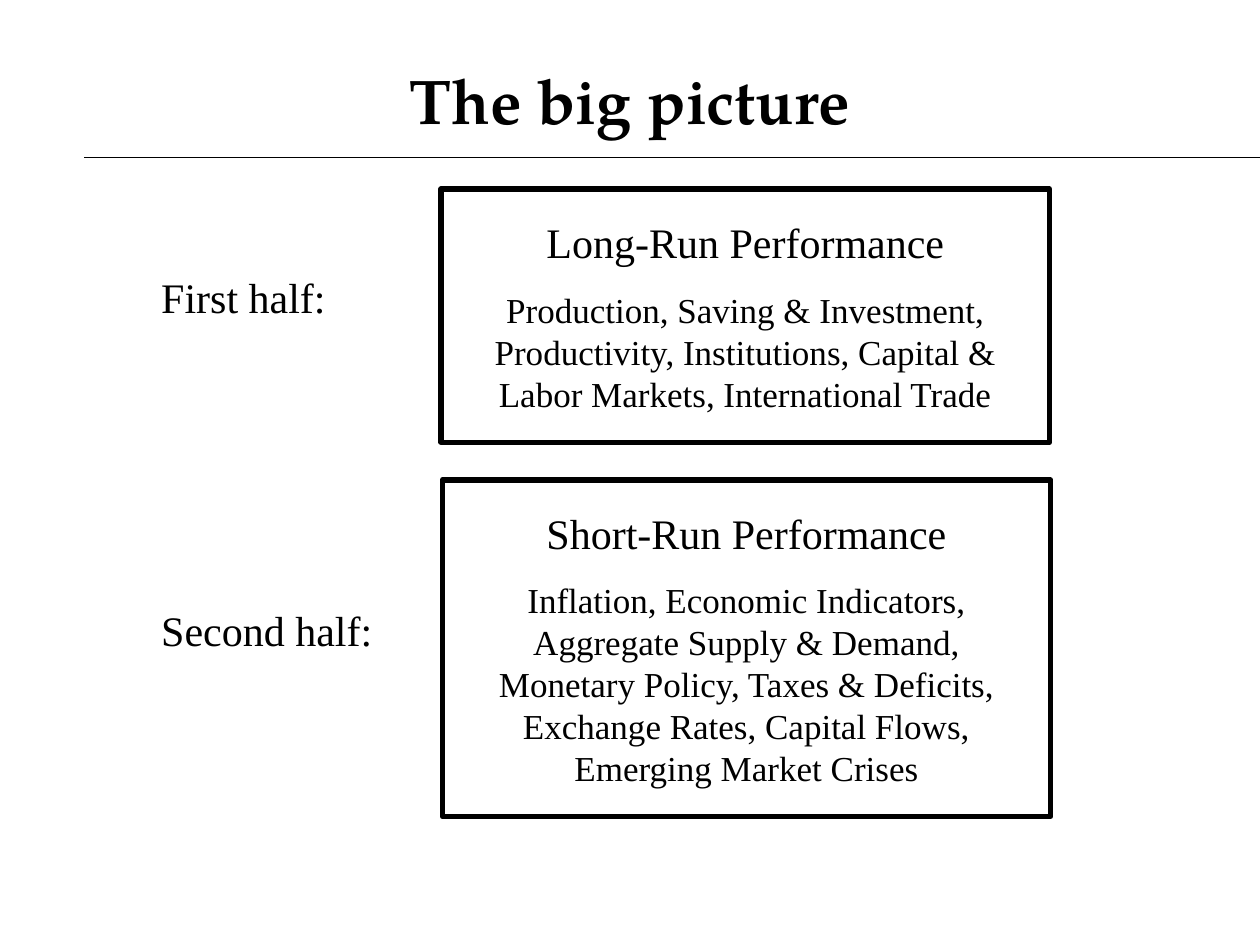
"""Build the course overview slide with its two halves."""
import pptx
import pptx.util
import pptx.dml.color
import pptx.enum.shapes
import pptx.enum.text
import lxml.etree

Inches, Pt = pptx.util.Inches, pptx.util.Pt
ALIGN, ANCHOR = pptx.enum.text.PP_ALIGN, pptx.enum.text.MSO_ANCHOR
COLORS = {"ink": "000000", "paper": "FFFFFF"}
TITLE_FONT, BODY_FONT = "TeX Gyre Pagella", "Times New Roman"
INSET = 0.2

TITLE = "The big picture"
TOPICS = [
    ((3.5, 1.5, 4.83, 2.01), "Long-Run Performance",
     "Production, Saving & Investment, Productivity, Institutions, "
     "Capital & Labor Markets, International Trade"),
    ((3.51, 3.81, 4.83, 2.67), "Short-Run Performance",
     "Inflation, Economic Indicators, Aggregate Supply & Demand, "
     "Monetary Policy, Taxes & Deficits, Exchange Rates, Capital Flows, "
     "Emerging Market Crises"),
]
LABELS = [
    ((1.08, 2.23, 2.33, 0.6), "First half:", 0.5),
    ((1.08, 4.6, 2.33, 0.8), "Second half:", 1.0),
]


def rgb(name):
    return pptx.dml.color.RGBColor.from_string(COLORS[name])


def set_frame(sp, inset, anchor):
    tf = sp.text_frame
    tf.word_wrap = True
    tf.vertical_anchor = anchor
    tf.margin_left = tf.margin_right = Inches(inset)
    tf.margin_top = tf.margin_bottom = Inches(inset)
    return tf


def set_text(p, text, size, align, font=BODY_FONT, bold=False):
    p.text = text
    p.alignment = align
    r = p.runs[0]
    r.font.name, r.font.size, r.font.bold = font, Pt(size), bold
    r.font.color.rgb = rgb("ink")


def add_text(s, at):
    return s.shapes.add_textbox(*map(Inches, at))


def add_rule(s):
    line = s.shapes.add_connector(
        pptx.enum.shapes.MSO_CONNECTOR.STRAIGHT,
        Inches(0.67), Inches(1.25), Inches(10), Inches(1.25))
    line.line.color.rgb = rgb("ink")
    line.line.width = Pt(0.75)
    sp_pr = line._element.spPr
    lxml.etree.SubElement(sp_pr, pptx.oxml.ns.qn("a:effectLst"))


def add_topic(s, at, heading, body):
    sp = s.shapes.add_shape(
        pptx.enum.shapes.MSO_SHAPE.RECTANGLE, *map(Inches, at))
    sp.shadow.inherit = False
    sp.fill.background()
    sp.line.color.rgb = rgb("ink")
    sp.line.width = Pt(3)
    tf = set_frame(sp, INSET, ANCHOR.MIDDLE)
    set_text(tf.paragraphs[0], heading, 24, ALIGN.CENTER)
    p = tf.add_paragraph()
    set_text(p, body, 20, ALIGN.CENTER)
    p.space_before = Pt(12)


def main():
    prs = pptx.Presentation()
    prs.slide_width, prs.slide_height = Inches(10), Inches(7.5)
    s = prs.slides.add_slide(prs.slide_layouts[6])
    s.background.fill.solid()
    s.background.fill.fore_color.rgb = rgb("paper")
    add_rule(s)
    title = set_frame(add_text(s, (0.5, 0.33, 9, 0.92)), 0.05, ANCHOR.MIDDLE)
    set_text(title.paragraphs[0], TITLE, 36, ALIGN.CENTER, TITLE_FONT, True)
    for at, heading, body in TOPICS:
        add_topic(s, at, heading, body)
    for at, text, spacing in LABELS:
        p = set_frame(add_text(s, at), INSET, ANCHOR.TOP).paragraphs[0]
        set_text(p, text, 24, ALIGN.LEFT)
        p.line_spacing = spacing
    prs.save("out.pptx")


if __name__ == "__main__":
    main()
